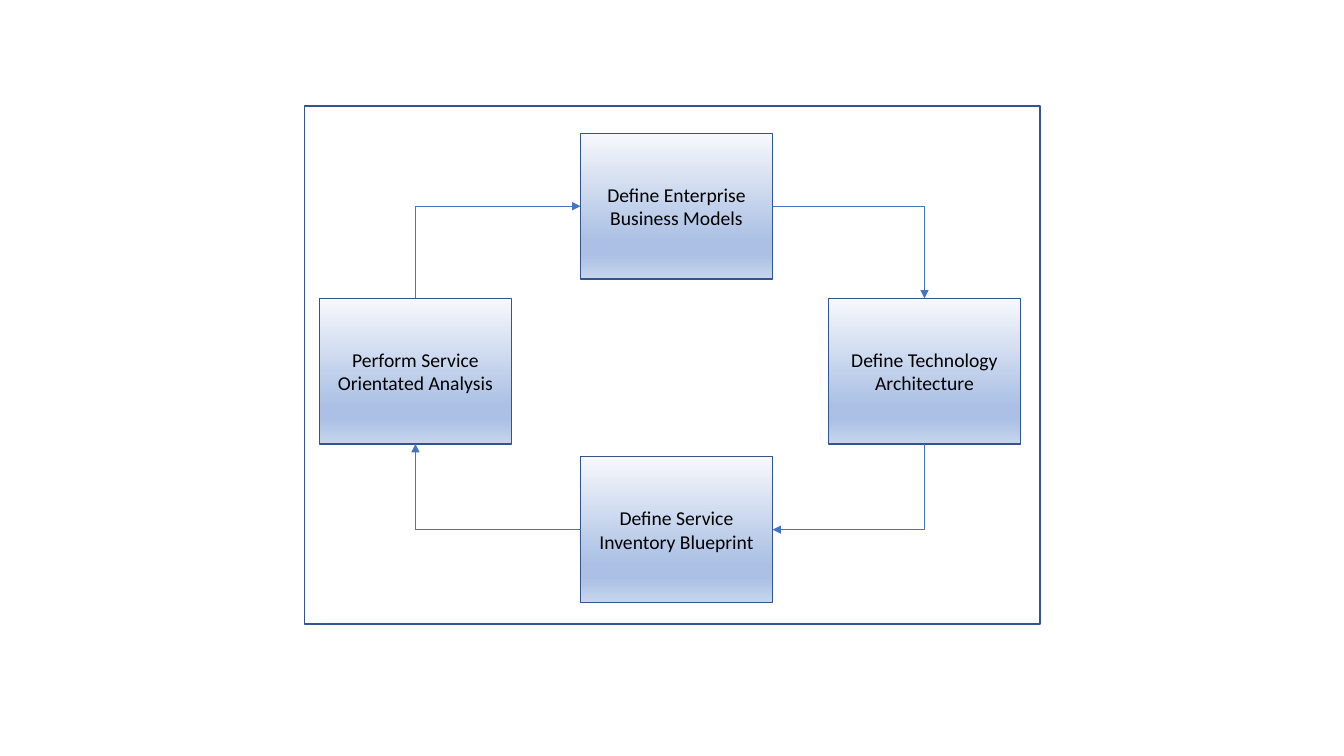
from lxml.etree import SubElement
from pptx import Presentation
from pptx.dml.color import RGBColor
from pptx.enum.shapes import MSO_CONNECTOR, MSO_SHAPE
from pptx.enum.text import MSO_ANCHOR, PP_ALIGN
from pptx.oxml.ns import qn
from pptx.util import Cm, Pt

# Content: the steps of the cycle, clockwise from the top (text, left, top in cm)
STEPS = [
    ("Define Enterprise Business Models", 14.63, 3.36),
    ("Define Technology Architecture", 20.88, 7.52),
    ("Define Service Inventory Blueprint", 14.63, 11.51),
    ("Perform Service Orientated Analysis", 8.05, 7.52),
]
FRAME = (7.67, 2.67, 18.54, 13.06)
STEP_WIDTH, STEP_HEIGHT = 4.84, 3.67
COLORS = {"border": "325491", "arrow": "4472C4", "text": "000000"}
GRADIENT = [(0, "F6F8FC"), (74, "ABC0E4"), (83, "ABC0E4"), (100, "C7D5ED")]
# Connection sites of a rectangle, and the pair each arrow joins
TOP, LEFT, BOTTOM, RIGHT = range(4)
ARROW_SITES = [(RIGHT, TOP), (BOTTOM, RIGHT), (LEFT, BOTTOM), (TOP, LEFT)]

presentation = Presentation()
presentation.slide_width, presentation.slide_height = Cm(33.87), Cm(19.05)
slide = presentation.slides.add_slide(presentation.slide_layouts[6])


def add_rectangle(left, top, width, height):
    shape = slide.shapes.add_shape(
        MSO_SHAPE.RECTANGLE, Cm(left), Cm(top), Cm(width), Cm(height))
    shape.shadow.inherit = False
    shape.fill.background()
    shape.line.color.rgb = RGBColor.from_string(COLORS["border"])
    shape.line.width = Pt(1)
    return shape


def fill_gradient(shape):
    shape.fill.gradient()
    shape.fill.gradient_angle = 270
    stops = shape.element.spPr.find(".//" + qn("a:gsLst"))
    for stop in list(stops):
        stops.remove(stop)
    for percent, color in GRADIENT:
        stop = SubElement(stops, qn("a:gs"), pos=str(percent * 1000))
        SubElement(stop, qn("a:srgbClr"), val=color)


def write_text(shape, text, *, size=14, font="Calibri", color=COLORS["text"]):
    frame = shape.text_frame
    frame.word_wrap = True
    frame.vertical_anchor = MSO_ANCHOR.MIDDLE
    paragraph = frame.paragraphs[0]
    paragraph.alignment = PP_ALIGN.CENTER
    run = paragraph.add_run()
    run.text = text
    run.font.size = Pt(size)
    run.font.name = font
    run.font.color.rgb = RGBColor.from_string(color)


def add_arrow(source, source_site, target, target_site, quarter_turns):
    connector = slide.shapes.add_connector(MSO_CONNECTOR.ELBOW, 0, 0, 0, 0)
    connector.begin_connect(source, source_site)
    connector.end_connect(target, target_site)
    left, top, width, height = (
        connector.left, connector.top, connector.width, connector.height)

    # One right-then-down elbow, turned a further quarter for each step
    properties = connector.element.spPr
    properties.find(qn("a:prstGeom")).set("prst", "bentConnector2")
    transform = properties.find(qn("a:xfrm"))
    transform.set("flipH", "0")
    transform.set("flipV", "0")
    transform.set("rot", str(quarter_turns * 90 * 60000))
    if quarter_turns % 2:
        shift = (width - height) // 2
        connector.left, connector.top = left + shift, top - shift
        connector.width, connector.height = height, width

    connector.line.color.rgb = RGBColor.from_string(COLORS["arrow"])
    connector.line.width = Pt(0.5)
    SubElement(properties.find(qn("a:ln")), qn("a:tailEnd"), type="triangle")
    SubElement(properties, qn("a:effectLst"))


# Frame
add_rectangle(*FRAME)

# Step boxes
boxes = []
for text, left, top in STEPS:
    box = add_rectangle(left, top, STEP_WIDTH, STEP_HEIGHT)
    fill_gradient(box)
    write_text(box, text)
    boxes.append(box)

# Arrows around the cycle
for index, (source_site, target_site) in enumerate(ARROW_SITES):
    target = boxes[(index + 1) % len(boxes)]
    add_arrow(boxes[index], source_site, target, target_site, index)

presentation.save("out.pptx")
